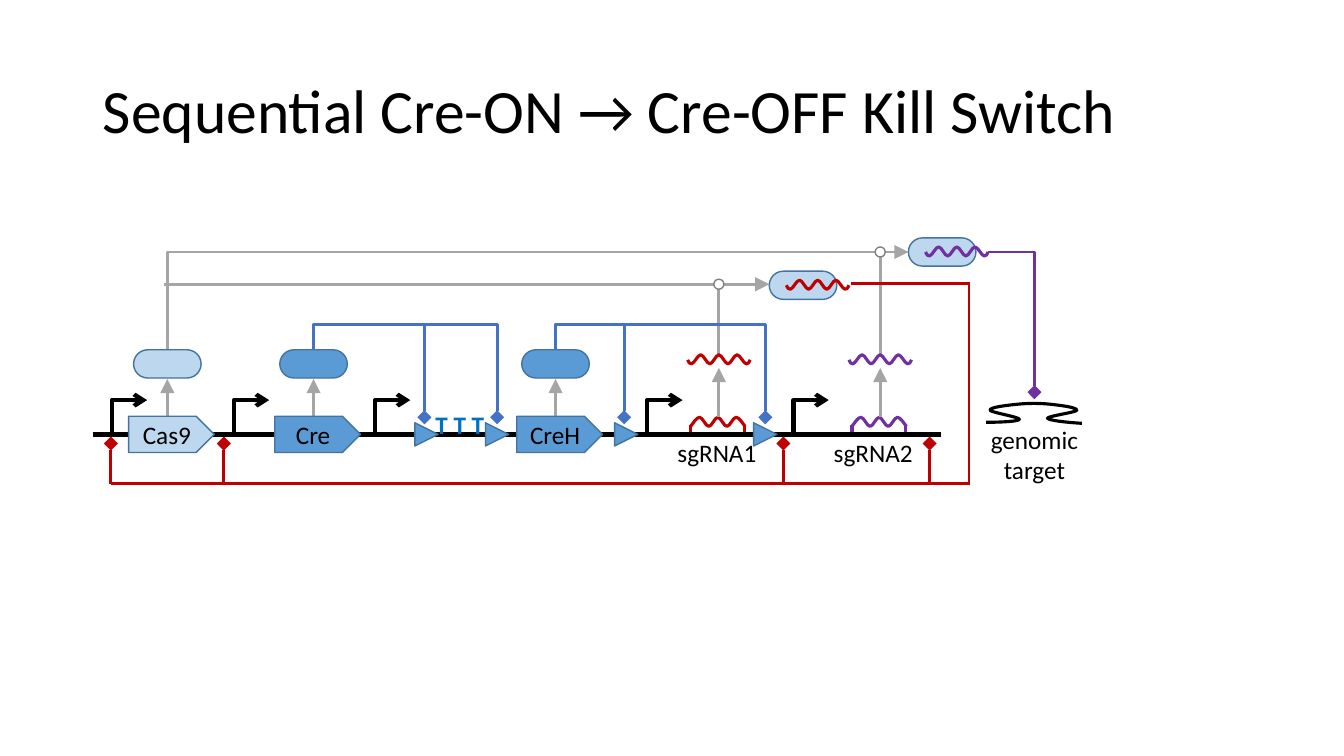
import pptx
import pptx.util
import pptx.dml.color
import pptx.enum.shapes
import pptx.enum.text
import pptx.oxml.ns
import lxml.etree

SHAPE = pptx.enum.shapes.MSO_SHAPE
LINK = pptx.enum.shapes.MSO_CONNECTOR
ALIGN = pptx.enum.text.PP_ALIGN
ANCHOR = pptx.enum.text.MSO_ANCHOR
inch = pptx.util.Inches
qn = pptx.oxml.ns.qn

# Content
TITLE = "Sequential Cre-ON → Cre-OFF Kill Switch"
BLACK, WHITE, GREY, RING = "000000", "FFFFFF", "A5A5A5", "808080"
RED, PURPLE, BLUE, TERMINATOR = "C00000", "7030A0", "4472C4", "0070C0"
PALE, MID, EDGE = "BDD7EE", "5B9BD5", "43739E"

# Rows of the circuit, top to bottom (inches)
OFF_ROW, ON_ROW, BRACKET_ROW = 2.5, 2.82, 3.22
PROTEIN_ROW, RNA_ROW = 3.47, 3.57
SITE_ROW, DNA_ROW, CUT_ROW, RETURN_ROW = 4.14, 4.31, 4.4, 4.8

# Columns
GENES = [("Cas9", 1.66, PALE), ("Cre", 3.11, MID), ("CreH", 5.51, MID)]
PROMOTERS = [1.1, 2.31, 3.71, 6.41, 7.86]
LOX_SITES = [4.23, 4.93, 6.21, 7.59]
RECOMBINATION = [(3.11, 4.21), (3.11, 4.93), (5.51, 6.19), (5.51, 7.59)]
CUT_SITES = [1.1, 2.22, 7.77, 9.22]
# label, its left, centre, colour, supply row, complex left, complex middle
GUIDES = [("sgRNA1", 6.62, 7.13, RED, ON_ROW, 7.63, 2.83),
          ("sgRNA2", 8.17, 8.73, PURPLE, OFF_ROW, 9.01, 2.5)]
RETURN_X, TARGET_X = 9.61, 10.26

# Curves: Bezier points, three for each segment after the first point
WAVE_STEP, WAVE_HEIGHT = 0.09, 0.09
GENE_END = [(0, 0.09), (0.03, 0.05), (0.06, 0), (0.09, 0)]
TRANSCRIPT_END = [(0, 0.05), (0.01, 0.07), (0.02, 0.1), (0.04, 0.09),
                  (0.07, 0.08), (0.1, 0), (0.13, 0)]
TARGET_STRAND = [
    (9.78, 4.19), (9.94, 4.19), (10.11, 4.18), (10.11, 4.16),
    (10.12, 4.14), (9.82, 4.09), (9.82, 4.07),
    (9.81, 4.04), (10, 4.02), (10.1, 4.01), (10.2, 4), (10.31, 4), (10.41, 4.01),
    (10.5, 4.02), (10.68, 4.04), (10.68, 4.07),
    (10.68, 4.09), (10.38, 4.13), (10.39, 4.15),
    (10.4, 4.17), (10.56, 4.19), (10.73, 4.2)]

deck = pptx.Presentation()
deck.slide_width, deck.slide_height = inch(13.33), inch(7.5)
slide = deck.slides.add_slide(deck.slide_layouts[5])
shapes = slide.shapes


def rgb(code):
    return pptx.dml.color.RGBColor.from_string(code)


def child(parent, tag, **attributes):
    return lxml.etree.SubElement(parent, qn(tag), attributes)


def stroke(part, color, width):
    part.line.color.rgb = rgb(color)
    part.line.width = pptx.util.Pt(width)


def write(frame, lines, size=18, color=BLACK, bold=False, align=ALIGN.CENTER):
    for number, line in enumerate(lines):
        paragraph = frame.add_paragraph() if number else frame.paragraphs[0]
        paragraph.alignment = align
        run = paragraph.add_run()
        run.text = line
        run.font.name, run.font.size = "Calibri", pptx.util.Pt(size)
        run.font.color.rgb, run.font.bold = rgb(color), bold


def label(lines, left, top, width, height, **style):
    box = shapes.add_textbox(inch(left), inch(top), inch(width), inch(height))
    box.text_frame.word_wrap = False
    write(box.text_frame, lines, **style)


def block(kind, center, middle, width, height, fill, edge=EDGE):
    part = shapes.add_shape(kind, inch(center - width / 2), inch(middle - height / 2),
                            inch(width), inch(height))
    part.shadow.inherit = False
    part.fill.solid()
    part.fill.fore_color.rgb = rgb(fill)
    stroke(part, edge, 1)
    return part


def capsule(center, middle, fill):
    block(SHAPE.ROUNDED_RECTANGLE, center, middle, 0.67, 0.28, fill).adjustments[0] = 0.5


def link(start, end, color, width=2, tip=None, kind=LINK.STRAIGHT):
    part = shapes.add_connector(kind, *map(inch, start + end))
    stroke(part, color, width)
    if tip:
        size = "med" if tip == "arrow" else "lg"
        child(part.line._get_or_add_ln(), "a:tailEnd", type=tip, w=size, len=size)
    child(part._element.spPr, "a:effectLst")
    return part


def elbow(start, end, color, width=2, tip=None, bend=None):
    """One corner by default; two corners when bend gives the first one."""
    part = link(start, end, color, width, tip, LINK.ELBOW)
    geometry = part._element.spPr.find(qn("a:prstGeom"))
    if bend is None:
        geometry.set("prst", "bentConnector2")
    else:
        child(geometry.find(qn("a:avLst")), "a:gd", name="adj1",
              fmla=f"val {round(bend * 100000)}")
    return part


def bracket(left, right):
    """Rises from a protein, runs right and drops on a lox site."""
    middle_x, middle_y = (left + right) / 2, (PROTEIN_ROW + SITE_ROW) / 2
    drop, span = (SITE_ROW - PROTEIN_ROW) / 2, (right - left) / 2
    part = elbow((middle_x + drop, middle_y - span), (middle_x - drop, middle_y + span),
                 BLUE, tip="diamond", bend=(BRACKET_ROW - PROTEIN_ROW) / (2 * drop))
    part._element.spPr.find(qn("a:xfrm")).set("rot", str(270 * 60000))


def curve(points, color):
    """Outline through the points, each three joined into one Bezier segment."""
    scaled = [(round(inch(x)), round(inch(y))) for x, y in points]
    builder = shapes.build_freeform(*scaled[0])
    builder.add_line_segments(scaled[1:], close=False)
    part = builder.convert_to_shape()
    part.shadow.inherit = False
    part.fill.background()
    stroke(part, color, 2.25)
    segments = list(part._element.spPr.iter(qn("a:lnTo")))
    outline = segments[0].getparent()
    for first in range(0, len(segments), 3):
        bend = child(outline, "a:cubicBezTo")
        for segment in segments[first:first + 3]:
            bend.append(segment[0])
            outline.remove(segment)


def wave(left, top, end, color):
    """Three peaks, with the given end piece mirrored on the right."""
    points, peak = list(end), end[-1][0]
    for n in range(4):
        x, y, next_y = peak + n * WAVE_STEP, n % 2 * WAVE_HEIGHT, (n + 1) % 2 * WAVE_HEIGHT
        points += [(x + WAVE_STEP / 3, y), (x + WAVE_STEP * 2 / 3, next_y),
                   (x + WAVE_STEP, next_y)]
    width = 2 * peak + 4 * WAVE_STEP
    points += [(width - x, y) for x, y in end[-2::-1]]
    curve([(left + x, top + y) for x, y in points], color)


# Title
title = shapes.title
title.left, title.top, title.width, title.height = map(inch, (0.92, 0.4, 11.5, 1.45))
title.text_frame.vertical_anchor = ANCHOR.MIDDLE
write(title.text_frame, [TITLE], size=44, align=ALIGN.LEFT)
title.text_frame.paragraphs[0].line_spacing = 0.9

# Guide RNA genes
for name, label_left, x, color, *_ in GUIDES:
    left, right = x - 0.28, x + 0.25
    wave(left, 4.14, GENE_END, color)
    for start, end in [((left, 4.22), (left, 4.33)), ((left, 4.32), (right, 4.32)),
                       ((right, 4.22), (right, 4.33))]:
        link(start, end, color, 2.25)
    label([name], label_left, 4.29, 0.99, 0.4, align=ALIGN.LEFT)

# DNA backbone and promoters
link((0.92, DNA_ROW), (9.33, DNA_ROW), BLACK, 3)
for x in PROMOTERS:
    elbow((x, 4.3), (x + 0.36, 3.97), BLACK, 3, "arrow", bend=0.03)

# Cas9 supply lines to both complexes
cas9_x = GENES[0][1]
elbow((GUIDES[1][2], OFF_ROW), (cas9_x, PROTEIN_ROW), GREY)
link((cas9_x - 0.03, ON_ROW), (GUIDES[0][2], ON_ROW), GREY)

# Guide RNA transcripts, junctions and Cas9 complexes
for _, _, x, color, row, complex_left, middle in GUIDES:
    link((x, SITE_ROW), (x, 3.65), GREY, tip="triangle")
    link((x, RNA_ROW - 0.04), (x, row + 0.05), GREY)
    link((x, row), (complex_left, row), GREY, tip="triangle")
    wave(x - 0.31, RNA_ROW - 0.05, TRANSCRIPT_END, color)
    capsule(complex_left + 0.335, middle, PALE)
    wave(complex_left + 0.17, middle - 0.05, TRANSCRIPT_END, color)
    block(SHAPE.OVAL, x, row, 0.1, 0.1, WHITE, RING)

# Genes and their proteins
for name, x, fill in GENES:
    link((x, 4.16), (x, 3.76), GREY, tip="triangle")
    gene = block(SHAPE.PENTAGON, x + 0.04, DNA_ROW, 0.85, 0.36, fill)
    gene.text_frame.vertical_anchor = ANCHOR.MIDDLE
    write(gene.text_frame, [name])
    capsule(x, PROTEIN_ROW + 0.14, fill)

# Lox sites, terminators and recombination
for x in LOX_SITES:
    block(SHAPE.ISOSCELES_TRIANGLE, x, DNA_ROW, 0.23, 0.23, MID).rotation = 90
label(["T T T"], 4.22, 4.01, 0.69, 0.4, color=TERMINATOR, bold=True, align=ALIGN.LEFT)
for left, right in RECOMBINATION:
    bracket(left, right)

# Cutting of the circuit by the first complex
link((8.44, 2.81), (RETURN_X, 2.81), RED)
link((RETURN_X, 2.8), (RETURN_X, RETURN_ROW + 0.01), RED)
link((CUT_SITES[0], RETURN_ROW), (RETURN_X, RETURN_ROW), RED)
for x in CUT_SITES:
    link((x, RETURN_ROW), (x, CUT_ROW), RED, tip="diamond")

# Cutting of the genomic target by the second complex
elbow((9.8, OFF_ROW), (TARGET_X, 3.89), PURPLE, tip="diamond")
curve(TARGET_STRAND, BLACK)
label(["genomic", "target"], 9.72, 4.16, 1.08, 0.71)

deck.save("out.pptx")
